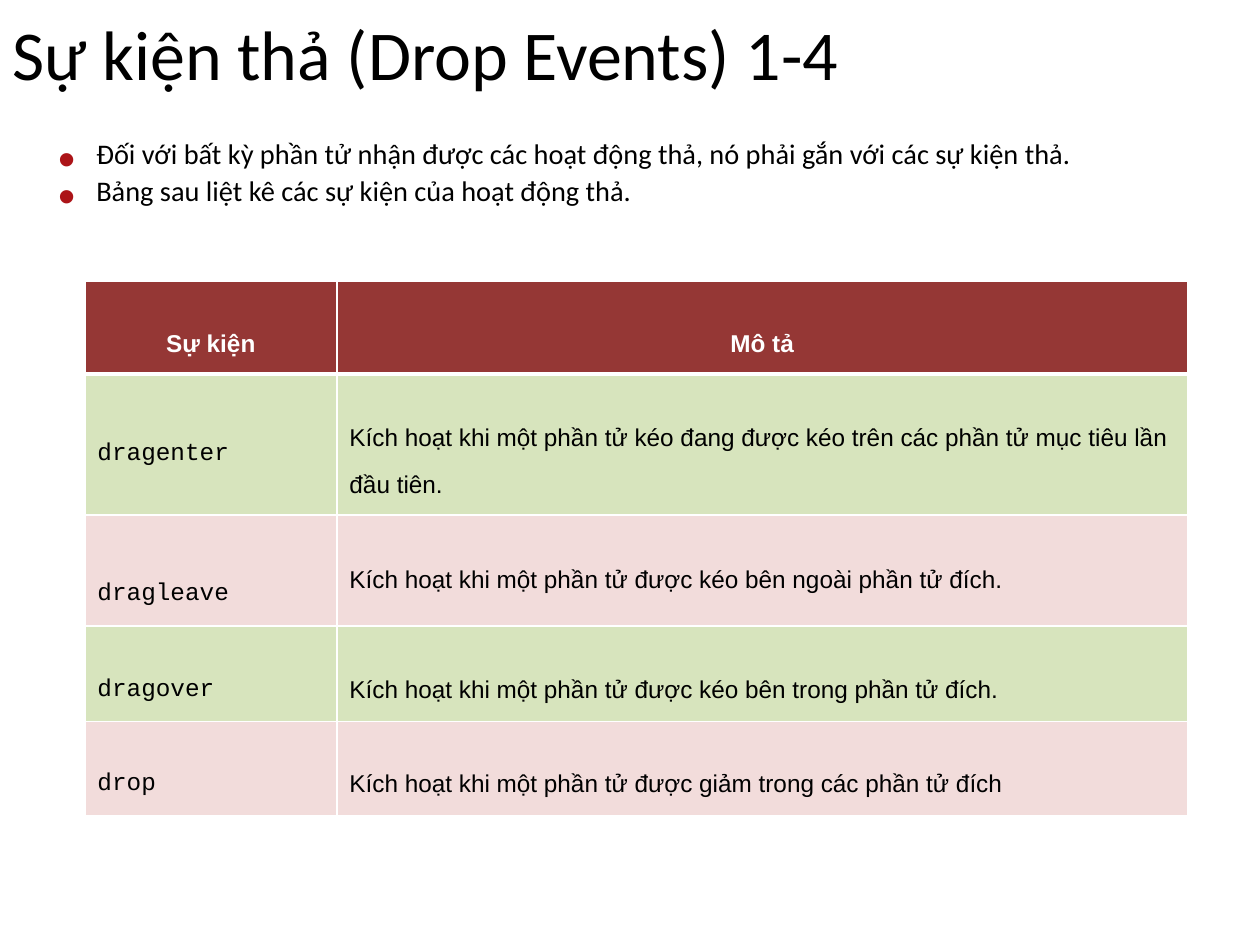
from lxml import etree
from pptx import Presentation
from pptx.dml.color import RGBColor
from pptx.enum import text
from pptx.oxml import ns
from pptx.util import Pt


def color(value):
    return RGBColor.from_string(value)


def write(para, words, font, size, ink, raised=True):
    span = para.add_run()
    span.text = words
    para.font.name = font
    para.font.size = Pt(size)
    para.font.color.rgb = color(ink)
    if raised:
        span._r.get_or_add_rPr().set("baseline", "30000")


deck = Presentation()
deck.slide_width, deck.slide_height = Pt(720), Pt(540)
page = deck.slides.add_slide(deck.slide_layouts[6])

title = page.shapes.add_textbox(Pt(0), Pt(0), Pt(666), Pt(60)).text_frame
title.word_wrap = True
title.vertical_anchor = text.MSO_ANCHOR.MIDDLE
write(title.paragraphs[0], "Sự kiện thả (Drop Events) 1-4", "Calibri", 40, "000000", False)

intro = page.shapes.add_textbox(Pt(12), Pt(78), Pt(684), Pt(60)).text_frame
intro.word_wrap = True
intro.vertical_anchor = text.MSO_ANCHOR.MIDDLE
points = [
    "Đối với bất kỳ phần tử nhận được các hoạt động thả, nó phải gắn với các sự kiện thả.",
    "Bảng sau liệt kê các sự kiện của hoạt động thả.",
]
for index, words in enumerate(points):
    para = intro.add_paragraph() if index else intro.paragraphs[0]
    para.level = 1
    para.line_spacing = Pt(21)
    write(para, words, "Calibri", 28, "000000")
    layout = para._p.get_or_add_pPr()
    layout.set("marL", str(Pt(36)))
    layout.set("indent", str(-Pt(21.6)))
    bullet_color = etree.Element(ns.qn("a:buClr"))
    etree.SubElement(bullet_color, ns.qn("a:srgbClr"), val="AC1418")
    bullet_font = etree.Element(ns.qn("a:buFont"), typeface="Arial")
    bullet = etree.Element(ns.qn("a:buChar"), char="•")
    layout.find(ns.qn("a:lnSpc")).addnext(bullet_color)
    bullet_color.addnext(bullet_font)
    bullet_font.addnext(bullet)

events = [
    ("Sự kiện", "Mô tả", 53.3, 0, 0),
    ("dragenter", "Kích hoạt khi một phần tử kéo đang được kéo trên các phần tử mục tiêu lần đầu tiên.", 80.6, 16.6, 0),
    ("dragleave", "Kích hoạt khi một phần tử được kéo bên ngoài phần tử đích.", 63.4, 0, 9.5),
    ("dragover", "Kích hoạt khi một phần tử được kéo bên trong phần tử đích.", 54.6, 0, 1),
    ("drop", "Kích hoạt khi một phần tử được giảm trong các phần tử đích", 54, 0, 1),
]
height = sum(event[2] for event in events)
table = page.shapes.add_table(len(events), 2, Pt(48.5), Pt(160.5), Pt(630), Pt(height)).table
table.columns[0].width, table.columns[1].width = Pt(144), Pt(486)

for row, (name, description, row_height, *bottoms) in enumerate(events):
    table.rows[row].height = Pt(row_height)
    for column, words in enumerate((name, description)):
        cell = table.cell(row, column)
        cell.vertical_anchor = text.MSO_ANCHOR.BOTTOM
        cell.margin_top = Pt(0)
        cell.margin_bottom = Pt(bottoms[column])
        for side in "LRTB":
            thick = (row, side) in ((0, "B"), (1, "T"))
            border = etree.SubElement(
                cell._tc.get_or_add_tcPr(), ns.qn("a:ln" + side), w=str(Pt(3 if thick else 1)))
            paint = etree.SubElement(border, ns.qn("a:solidFill"))
            etree.SubElement(paint, ns.qn("a:srgbClr"), val="FFFFFF")
        cell.fill.solid()
        cell.fill.fore_color.rgb = color("953735" if row == 0 else ("F2DCDB", "D7E4BD")[row % 2])
        para = cell.text_frame.paragraphs[0]
        font = "Courier New" if row and column == 0 else "Arial"
        write(para, words, font, 24, "000000" if row else "FFFFFF")
        para.font.bold = row == 0
        if row == 0:
            para.alignment = text.PP_ALIGN.CENTER

deck.save("out.pptx")
